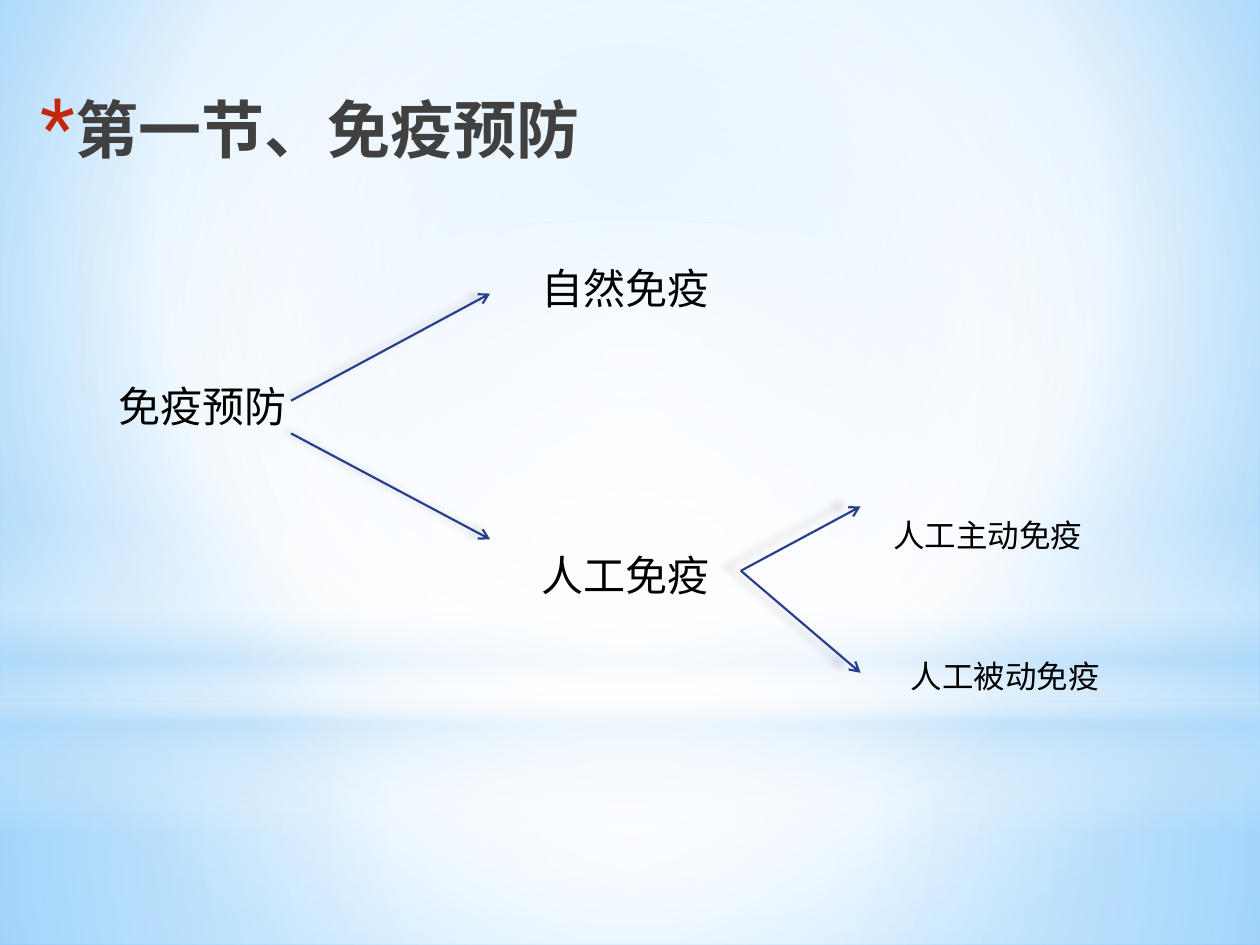
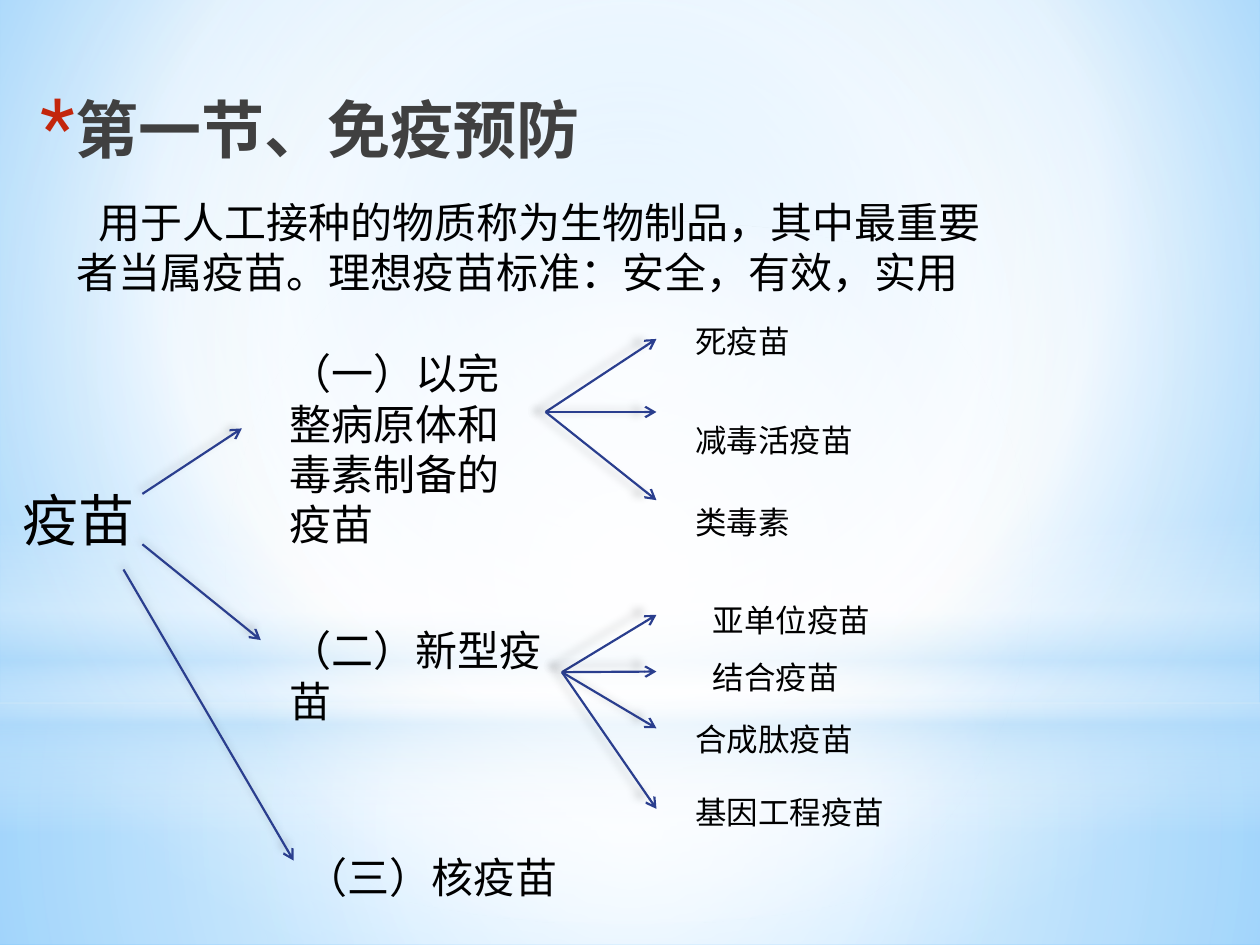
from dataclasses import dataclass
from typing import Any, Optional

from pptx import Presentation
from pptx.dml.color import RGBColor
from pptx.enum.shapes import MSO_CONNECTOR, MSO_SHAPE
from pptx.enum.text import MSO_ANCHOR, MSO_AUTO_SIZE, PP_ALIGN
from pptx.oxml import parse_xml
from pptx.oxml.ns import nsdecls, qn
from pptx.util import Emu, Inches, Pt

RECT = MSO_SHAPE.RECTANGLE
OVAL = MSO_SHAPE.OVAL
LINE = MSO_CONNECTOR.STRAIGHT
TOP = MSO_ANCHOR.TOP
BOTTOM = MSO_ANCHOR.BOTTOM
LEFT = PP_ALIGN.LEFT
FIXED = MSO_AUTO_SIZE.NONE
RIGHT_SIDE = 3

WIDTH, HEIGHT = Inches(10), Inches(7.5)
COLS, ROWS = 100, 75

Stop = tuple[int, str, int]
Point = tuple[float, float]


@dataclass(frozen=True)
class Theme:
    ink: str = "000000"
    arrow: str = "2A3E8E"
    star: str = "C3260C"
    white: str = "FFFFFF"
    sky: str = "B4DCFA"
    latin: str = "Roboto"
    asian: str = "Noto Sans CJK SC"
    head: int = 36
    root: int = 32
    body: int = 24
    leaf: int = 18
    lead: float = 1.2
    drop: float = 0.09
    inset: float = 3.6
    stroke: float = 1.25


T = Theme()


@dataclass(frozen=True)
class Grad:
    stops: tuple[Stop, ...]
    focus: Optional[tuple[int, int, int, int]] = None


@dataclass(frozen=True)
class Band:
    kind: Any
    top: float
    rows: float
    grad: Grad


@dataclass(frozen=True)
class Node:
    text: str
    x: float
    y: float
    w: float
    h: float
    size: int = T.leaf
    font: str = T.latin
    indent: float = 0


@dataclass(frozen=True)
class Fan:
    start: Point
    ends: tuple[Point, ...]
    source: Optional[str] = None


@dataclass(frozen=True)
class Page:
    nodes: tuple[Node, ...]
    fans: tuple[Fan, ...]


MID = (50, 50, 50, 50)
BACK = Grad(((0, "9ED5FF", 100), (60, T.white, 100), (100, "5BB9FF", 100)), (20, 10, 20, 60))
SHADE = Grad(((0, T.ink, 100), (40, "404040", 100), (100, "212745", 65)))
BANDS = (
    Band(RECT, 55.8, 19.2, Grad(((0, T.white, 91), (37, T.white, 76), (100, T.sky, 79)), MID)),
    Band(RECT, 0, 55.8, Grad(((0, T.white, 89), (48, T.white, 62), (100, T.sky, 79)), MID)),
    Band(RECT, 41.2, 25, Grad(((0, T.white, 0), (29, T.white, 30), (45, T.sky, 40),
                               (55, T.white, 26), (65, T.sky, 60), (100, T.white, 0)))),
    Band(OVAL, 17.5, 55.8, Grad(((0, T.white, 100), (56, T.white, 0)), MID)),
)

HEAD = Node("第一节、免疫预防", 2.2, 3.5, 46.7, 9.7, T.head)
MADE = "人工免疫"
NEW = "（二）新型疫苗"
PAGES = (
    Page(
        (
            Node("免疫预防", 8.4, 29.4, 17.4, 5, T.body, T.asian),
            Node("自然免疫", 42, 20, 19.8, 5, T.body, T.asian),
            Node(MADE, 42, 42.8, 16.8, 5, T.body, T.asian),
            Node("人工主动免疫", 69.9, 40.2, 19.7, 4),
            Node("人工被动免疫", 71.3, 51.4, 21.7, 4),
        ),
        (
            Fan((23.1, 31.8), ((38.9, 23.3),)),
            Fan((23.1, 34.4), ((38.9, 42.8),)),
            Fan((58.7, 45.4), ((68.3, 40.2), (68.3, 53.4)), MADE),
        ),
    ),
    Page(
        (
            Node("用于人工接种的物质称为生物制品，其中最重要者当属疫苗。理想疫苗标准：安全，有效，实用",
                 5.1, 14.8, 76.5, 12.1, T.body, T.asian, 1.7),
            Node("疫苗", 0.8, 37.6, 11.9, 6.4, T.root),
            Node("（一）以完整病原体和毒素制备的疫苗", 22, 26.8, 18.8, 17.2, T.body),
            Node("死疫苗", 54.2, 24.8, 22.6, 4),
            Node("减毒活疫苗", 54.2, 32.7, 20.4, 4),
            Node("类毒素", 54.2, 39.2, 16.1, 4),
            Node(NEW, 22, 48.8, 22.6, 9.1, T.body),
            Node("亚单位疫苗", 55.6, 47, 14.8, 4),
            Node("结合疫苗", 55.6, 51.5, 15.8, 4),
            Node("合成肽疫苗", 54.2, 56.4, 14.8, 4),
            Node("基因工程疫苗", 54.2, 62.2, 17.4, 4),
            Node("（三）核疫苗", 23.3, 66.8, 24.3, 5, T.body),
        ),
        (
            Fan((11.3, 39.2), ((19.2, 34),)),
            Fan((11.3, 43.2), ((20.7, 50.8),)),
            Fan((9.8, 45.2), ((23.3, 68.3),)),
            Fan((43.3, 32.7), tuple((52.1, y) for y in (26.9, 32.7, 39.7))),
            Fan((44.6, 53.3), tuple((52.1, y) for y in (48.8, 53.3, 57.8, 64.2)), NEW),
        ),
    ),
)


def col(n: float) -> Emu:
    return Emu(round(WIDTH * n / COLS))


def row(n: float) -> Emu:
    return Emu(round(HEIGHT * n / ROWS))


def make(tag: str, attrs: str = "", inner: str = "") -> Any:
    return parse_xml(f"<a:{tag} {nsdecls('a')} {attrs}>{inner}</a:{tag}>")


def find(shape: Any, tag: str) -> Any:
    return shape.element.find(".//" + qn(tag))


def tint(color: str, alpha: int = 100) -> str:
    return f'<a:srgbClr val="{color}"><a:alpha val="{alpha * 1000}"/></a:srgbClr>'


def paint(fill: Any, host: Any, grad: Grad) -> None:
    fill.solid()
    stops = "".join(
        f'<a:gs pos="{pos * 1000}">{tint(color, alpha)}</a:gs>'
        for pos, color, alpha in grad.stops
    )
    if grad.focus:
        sides = " ".join(f'{k}="{v * 1000}"' for k, v in zip("ltrb", grad.focus))
        way = f'<a:path path="circle"><a:fillToRect {sides}/></a:path>'
    else:
        way = '<a:lin ang="5400000" scaled="0"/>'
    new = make("gradFill", 'rotWithShape="1"', f"<a:gsLst>{stops}</a:gsLst>{way}")
    host.replace(host.find(qn("a:solidFill")), new)


def dress(layout: Any, slide: Any) -> None:
    fill = layout.background.fill
    fill.solid()
    paint(fill, find(layout, "p:bgPr"), BACK)
    for i, band in enumerate(BANDS):
        shape = slide.shapes.add_shape(band.kind, 0, row(band.top), WIDTH, row(band.rows))
        shape.shadow.inherit = False
        shape.line.fill.background()
        paint(shape.fill, shape.element.spPr, band.grad)
        find(shape, "p:cNvPr").set("id", str(20 + i))
        layout.shapes.element.insert(2 + i, shape.element)


def write(shape: Any, node: Node) -> Any:
    frame = shape.text_frame
    frame.word_wrap = True
    frame.auto_size = FIXED
    frame.vertical_anchor = TOP
    frame.margin_top = Pt(T.inset + node.size * T.drop)
    frame.margin_bottom = 0
    para = frame.paragraphs[0]
    para.alignment = LEFT
    para.line_spacing = Pt(node.size * T.lead)
    run = para.add_run()
    run.text = node.text
    run.font.size = Pt(node.size)
    run.font.name = node.font
    run.font.color.rgb = RGBColor.from_string(T.ink)
    find(shape, "a:latin").addnext(make("ea", f'typeface="{T.asian}"'))
    if node.indent:
        find(shape, "a:pPr").set("indent", str(col(node.indent)))
    return run


def add_title(slide: Any) -> None:
    shape = slide.shapes.title
    shape.left, shape.top = col(HEAD.x), row(HEAD.y)
    shape.width, shape.height = col(HEAD.w), row(HEAD.h)
    run = write(shape, HEAD)
    shape.text_frame.vertical_anchor = BOTTOM
    run.font.bold = True
    paint(run.font.fill, find(shape, "a:rPr"), SHADE)
    props = find(shape, "a:pPr")
    props.set("marL", str(col(2.5)))
    props.set("indent", str(-col(2.5)))
    props.append(make("buClr", "", tint(T.star)))
    props.append(make("buSzPct", 'val="128000"'))
    props.append(make("buFont", f'typeface="{T.latin}"'))
    props.append(make("buChar", 'char="*"'))


def add_node(slide: Any, node: Node) -> Any:
    box = slide.shapes.add_textbox(col(node.x), row(node.y), col(node.w), row(node.h))
    write(box, node)
    return box


def add_fan(slide: Any, fan: Fan, boxes: dict[str, Any]) -> None:
    for x, y in fan.ends:
        link = slide.shapes.add_connector(
            LINE, col(fan.start[0]), row(fan.start[1]), col(x), row(y))
        if fan.source:
            link.begin_connect(boxes[fan.source], RIGHT_SIDE)
        link.line.width = Pt(T.stroke)
        link.line.color.rgb = RGBColor.from_string(T.arrow)
        find(link, "a:ln").append(make("tailEnd", 'type="arrow"'))
        shadow = (
            f'<a:outerShdw blurRad="{Pt(5)}" dist="{Pt(4)}" dir="5400000" '
            f'sx="98000" sy="98000" rotWithShape="0">{tint(T.ink, 20)}</a:outerShdw>'
        )
        link.element.spPr.append(make("effectLst", "", shadow))


def main() -> None:
    deck = Presentation()
    deck.slide_width, deck.slide_height = WIDTH, HEIGHT
    layout = deck.slide_layouts[5]
    for i, page in enumerate(PAGES):
        slide = deck.slides.add_slide(layout)
        if i == 0:
            dress(layout, slide)
        add_title(slide)
        boxes = {node.text: add_node(slide, node) for node in page.nodes}
        for fan in page.fans:
            add_fan(slide, fan, boxes)
    deck.save("out.pptx")


if __name__ == "__main__":
    main()
